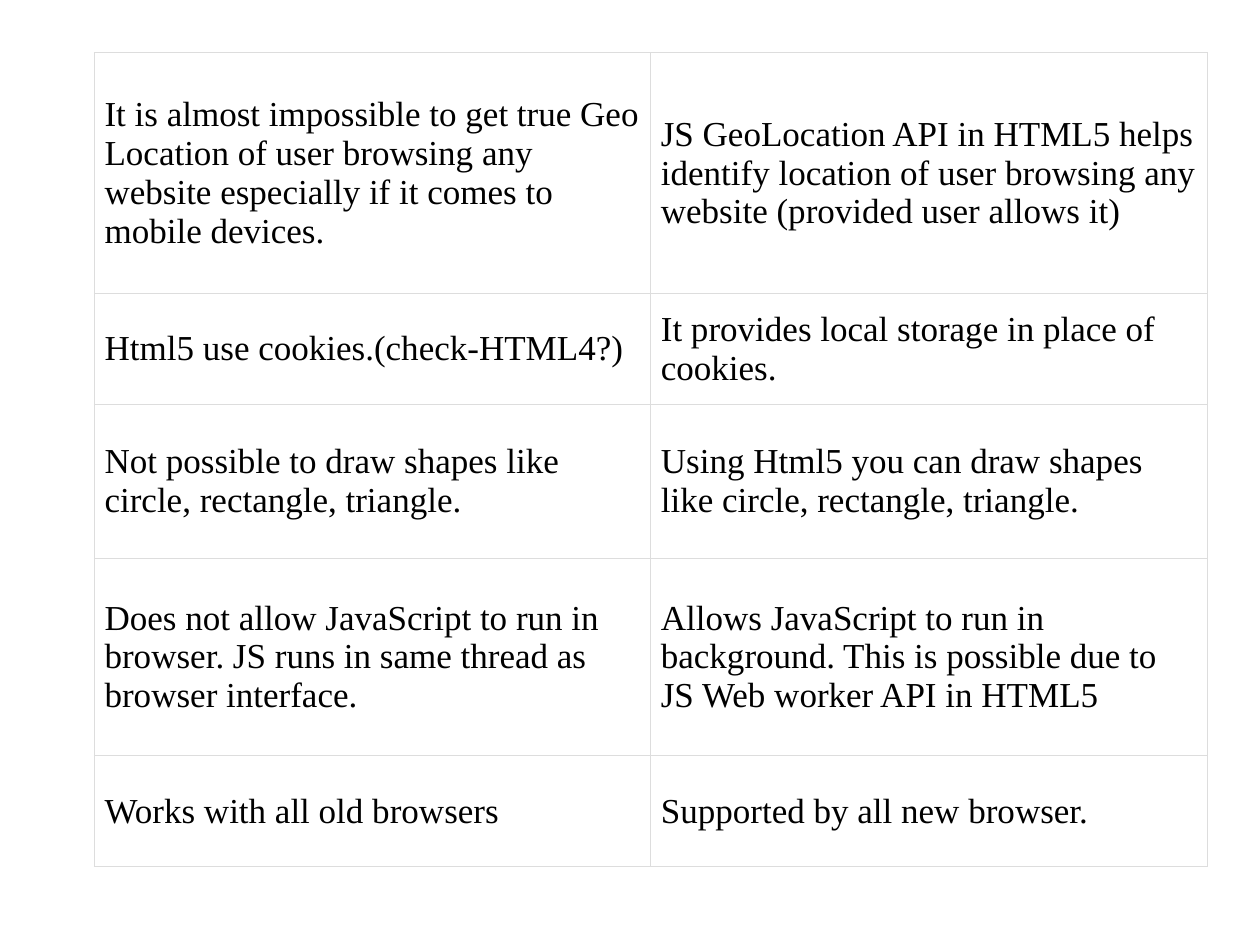
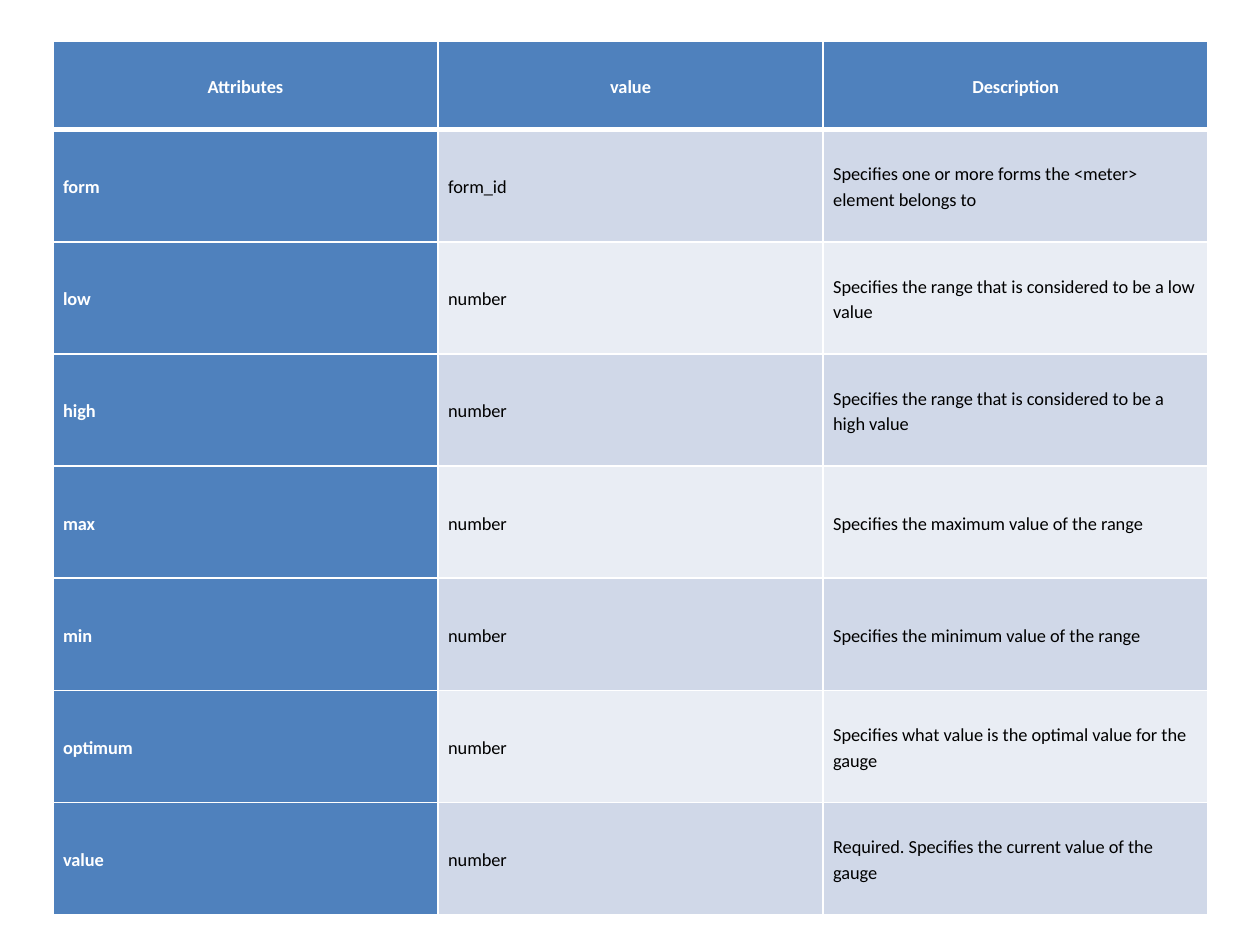
from pptx import Presentation
from pptx.dml.color import RGBColor
from pptx.enum.text import MSO_ANCHOR, PP_ALIGN
from pptx.oxml.ns import qn
from pptx.util import Inches, Pt
from lxml import etree

MIDDLE = MSO_ANCHOR.MIDDLE
CENTER, LEFT = PP_ALIGN.CENTER, PP_ALIGN.LEFT

WHITE = RGBColor(0xFF, 0xFF, 0xFF)
BLACK = RGBColor(0x00, 0x00, 0x00)
GRID = RGBColor(0xDD, 0xDD, 0xDD)
BLUE = RGBColor(0x4F, 0x81, 0xBD)
BAND_DARK = RGBColor(0xD0, 0xD8, 0xE8)
BAND_LIGHT = RGBColor(0xE9, 0xED, 0xF4)
PAD = 0.08


def add_grid(s, left, top, width, heights, cols):
    """Add a plain table with equal columns and the given row heights."""
    frame = s.shapes.add_table(len(heights), cols, Inches(left), Inches(top),
                               Inches(width), Inches(sum(heights)))
    table = frame.table
    table.first_row = table.horz_banding = False
    for col in table.columns:
        col.width = Inches(width / cols)
    for row, height in zip(table.rows, heights):
        row.height = Inches(height)
    return table


def style_cell(cell, text, fill, line, widths, font, size, color, pad_y=PAD):
    """Fill one cell; widths are its left, right, top and bottom borders."""
    tc_pr = cell._tc.get_or_add_tcPr()
    for tag, width in zip(("a:lnL", "a:lnR", "a:lnT", "a:lnB"), widths):
        ln = etree.SubElement(tc_pr, qn(tag), w=str(Pt(width)))
        solid = etree.SubElement(ln, qn("a:solidFill"))
        etree.SubElement(solid, qn("a:srgbClr"), val=str(line))
    cell.fill.solid()
    cell.fill.fore_color.rgb = fill
    cell.vertical_anchor = MIDDLE
    cell.margin_left = cell.margin_right = Inches(PAD)
    cell.margin_top = cell.margin_bottom = Inches(pad_y)
    p = cell.text_frame.paragraphs[0]
    r = p.add_run()
    r.text = text
    r.font.name = font
    r.font.size = Pt(size)
    r.font.color.rgb = color
    return p, r


prs = Presentation()
prs.slide_width, prs.slide_height = Inches(10), Inches(7.5)
blank = prs.slide_layouts[6]

# Slide 1: comparison of the two versions
comparison = [
    ("It is almost impossible to get true Geo Location of user browsing any "
     "website especially if it comes to mobile devices.",
     "JS GeoLocation API in HTML5 helps identify location of user browsing "
     "any website (provided user allows it)"),
    ("Html5 use cookies.(check-HTML4?)",
     "It provides local storage in place of cookies."),
    ("Not possible to draw shapes like circle, rectangle, triangle.",
     "Using Html5 you can draw shapes like circle, rectangle, triangle."),
    ("Does not allow JavaScript to run in browser. JS runs in same thread as "
     "browser interface.",
     "Allows JavaScript to run in background. This is possible due to JS Web "
     "worker API in HTML5"),
    ("Works with all old browsers", "Supported by all new browser."),
]
s = prs.slides.add_slide(blank)
table = add_grid(s, 0.75, 0.42, 8.83, [1.91, 0.88, 1.22, 1.57, 0.88], 2)
for i, row in enumerate(comparison):
    for j, text in enumerate(row):
        style_cell(table.cell(i, j), text, WHITE, GRID, [0.75] * 4,
                   "Times New Roman", 20, BLACK)

# Slide 2: attributes of the meter element
attributes = [
    ("Attributes", "value", "Description"),
    ("form", "form_id",
     "Specifies one or more forms the <meter> element belongs to"),
    ("low", "number",
     "Specifies the range that is considered to be a low value"),
    ("high", "number",
     "Specifies the range that is considered to be a high value"),
    ("max", "number", "Specifies the maximum value of the range"),
    ("min", "number", "Specifies the minimum value of the range"),
    ("optimum", "number",
     "Specifies what value is the optimal value for the gauge"),
    ("value", "number", "Required. Specifies the current value of the gauge"),
]
s = prs.slides.add_slide(blank)
table = add_grid(s, 0.42, 0.33, 9.17, [0.7] + [0.89] * 7, 3)
for i, row in enumerate(attributes):
    header = i == 0
    band = BAND_DARK if i % 2 else BAND_LIGHT
    widths = [1, 1, 3 if i == 1 else 1, 3 if header else 1]
    for j, text in enumerate(row):
        strong = header or j == 0
        p, r = style_cell(table.cell(i, j), text, BLUE if strong else band,
                          WHITE, widths, "Calibri", 10.5,
                          WHITE if strong else BLACK, 0.12 if header else PAD)
        r.font.bold = strong
        p.alignment = CENTER if header else LEFT
        p.line_spacing = 1.15
        p.space_after = Pt(10)

prs.save("out.pptx")
